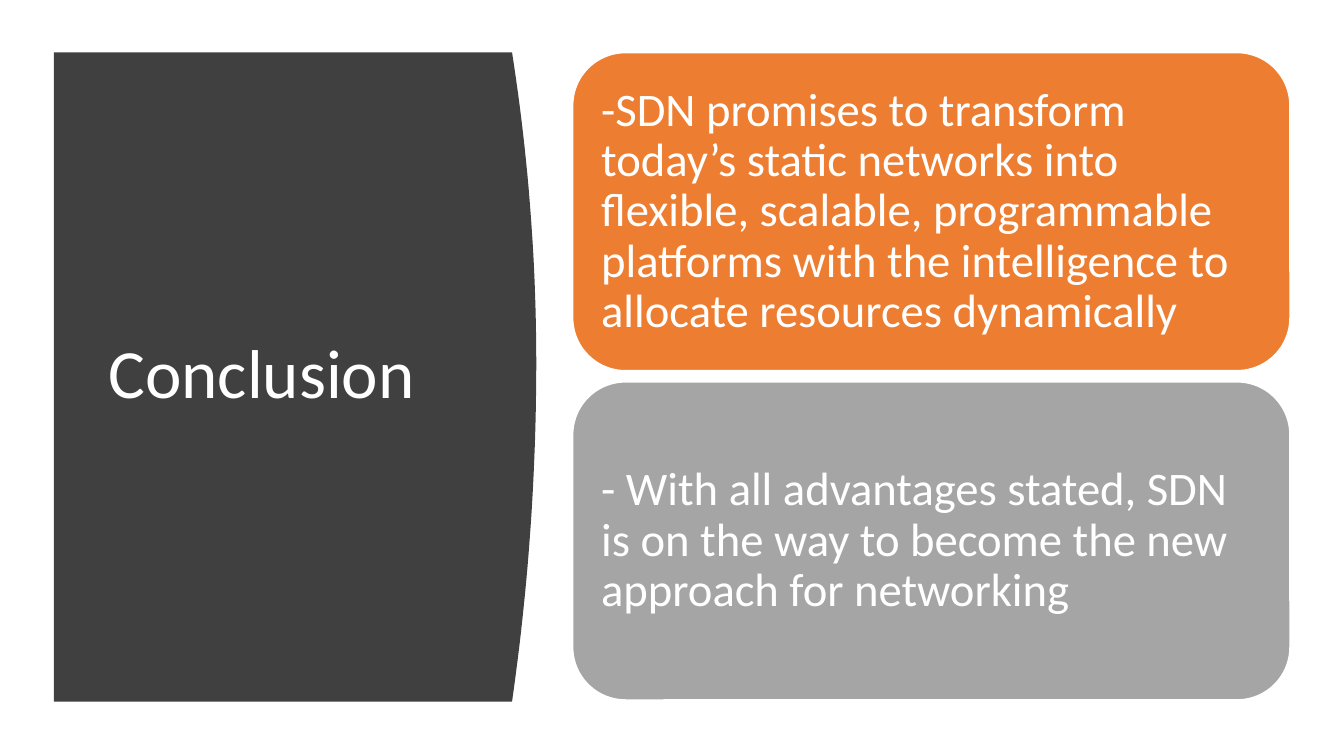
from typing import NamedTuple

from pptx import Presentation
from pptx.dml.color import RGBColor
from pptx.enum.shapes import MSO_SHAPE
from pptx.enum.text import MSO_ANCHOR, PP_ALIGN
from pptx.util import Inches, Pt

COLORS = {
    "panel": "404040",
    "orange": "ED7D31",
    "gray": "A5A5A5",
    "white": "FFFFFF",
}

PANEL_LEFT, PANEL_TOP, PANEL_BOTTOM = 0.4, 0.39, 5.22
BULGE_X, BULGE_Y, BULGE_DEPTH = 3.99, 2.7, 0.18
CURVE_STEPS = 48

CARD_LEFT, CARD_TOP = 4.26, 0.39
CARD_WIDTH, CARD_HEIGHT, CARD_PITCH = 5.34, 2.37, 2.45


class Card(NamedTuple):
    text: str
    color: str


CARDS = [
    Card(
        "-SDN promises to transform today’s static networks into flexible, "
        "scalable, programmable platforms with the intelligence to allocate "
        "resources dynamically",
        "orange",
    ),
    Card(
        "- With all advantages stated, SDN is on the way to become the new "
        "approach for networking",
        "gray",
    ),
]


def rgb(name: str) -> RGBColor:
    return RGBColor.from_string(COLORS[name])


def write_text(shape, text: str, *, size: float, color: str = "white",
               font: str = "Calibri", inset: float = 0.1,
               vertical_inset: float = 0.1) -> None:
    frame = shape.text_frame
    frame.word_wrap = True
    frame.vertical_anchor = MSO_ANCHOR.MIDDLE
    frame.margin_left = frame.margin_right = Inches(inset)
    frame.margin_top = frame.margin_bottom = Inches(vertical_inset)
    paragraph = frame.paragraphs[0]
    paragraph.alignment = PP_ALIGN.LEFT
    paragraph.line_spacing = 0.9
    run = paragraph.add_run()
    run.text = text
    run.font.name = font
    run.font.size = Pt(size)
    run.font.color.rgb = rgb(color)


def curve_point(step: int) -> tuple[int, int]:
    y = PANEL_TOP + (PANEL_BOTTOM - PANEL_TOP) * step / CURVE_STEPS
    edge = PANEL_TOP if y < BULGE_Y else PANEL_BOTTOM
    x = BULGE_X - BULGE_DEPTH * ((y - BULGE_Y) / (edge - BULGE_Y)) ** 2
    return Inches(x), Inches(y)


def draw_panel(slide) -> None:
    builder = slide.shapes.build_freeform(Inches(PANEL_LEFT), Inches(PANEL_TOP))
    points = [curve_point(step) for step in range(CURVE_STEPS + 1)]
    points.append((Inches(PANEL_LEFT), Inches(PANEL_BOTTOM)))
    builder.add_line_segments(points, close=True)
    panel = builder.convert_to_shape()
    panel.shadow.inherit = False
    panel.fill.solid()
    panel.fill.fore_color.rgb = rgb("panel")
    panel.line.fill.background()


def draw_card(slide, card: Card, top: float) -> None:
    shape = slide.shapes.add_shape(
        MSO_SHAPE.ROUNDED_RECTANGLE, Inches(CARD_LEFT), Inches(top),
        Inches(CARD_WIDTH), Inches(CARD_HEIGHT))
    shape.shadow.inherit = False
    shape.fill.solid()
    shape.fill.fore_color.rgb = rgb(card.color)
    shape.line.color.rgb = rgb("white")
    shape.line.width = Pt(1)
    write_text(shape, card.text, size=25)


def main() -> None:
    presentation = Presentation()
    presentation.slide_width = Inches(10)
    presentation.slide_height = Inches(10 * 9 / 16)
    slide = presentation.slides.add_slide(presentation.slide_layouts[6])

    draw_panel(slide)
    title = slide.shapes.add_textbox(
        Inches(0.71), Inches(0.83), Inches(2.8), Inches(3.93))
    write_text(title, "Conclusion", size=37, vertical_inset=0.05)
    for index, card in enumerate(CARDS):
        draw_card(slide, card, CARD_TOP + index * CARD_PITCH)

    presentation.save("out.pptx")


if __name__ == "__main__":
    main()
